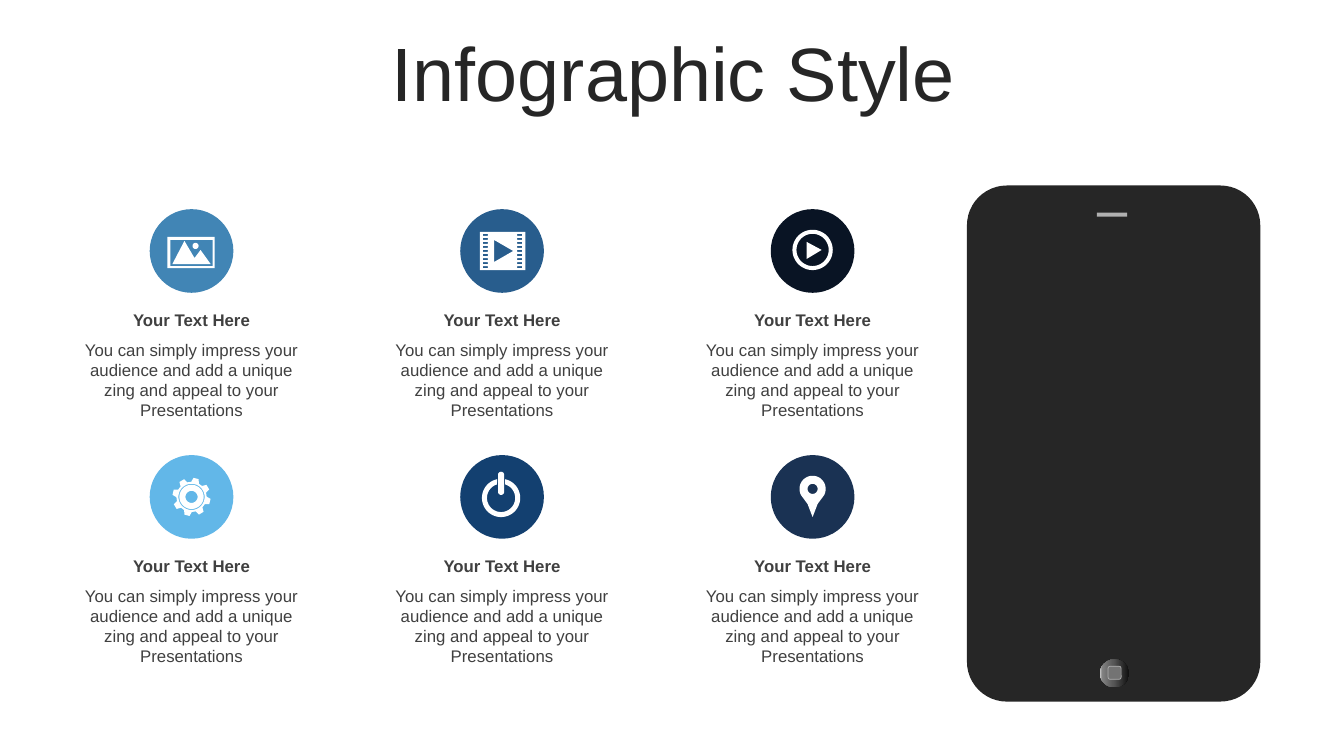
from dataclasses import dataclass
from math import cos, radians, sin

from lxml.etree import SubElement
from pptx import Presentation
from pptx.dml.color import RGBColor
from pptx.enum.shapes import MSO_SHAPE
from pptx.enum.text import MSO_ANCHOR, MSO_AUTO_SIZE, PP_ALIGN
from pptx.oxml.ns import qn
from pptx.shapes.autoshape import Shape
from pptx.slide import Slide
from pptx.text.text import TextFrame
from pptx.util import Inches, Pt

Point = tuple[float, float]
Contour = list[Point]

FONT = "Arial"
DARK, TEXT, WHITE, SILVER = "262626", "404040", "FFFFFF", "B0B0B0"
HEADING = "Your Text Here"
BODY = ("You can simply impress your audience and add a unique zing "
        "and appeal to your Presentations")

# Grid of features: centre of the first badge and the steps between badges
FIRST_X, FIRST_Y = 1.9, 2.49
COLUMN_STEP, ROW_STEP = 3.08, 2.44
BADGE = 0.83
TEXT_WIDTH = 2.4


@dataclass
class Feature:
    column: int
    row: int
    color: str
    icon: list[Contour]


@dataclass
class PhonePart:
    preset: MSO_SHAPE
    left: float
    top: float
    width: float
    height: float
    fill: str


def rgb(value: str) -> RGBColor:
    return RGBColor.from_string(value)


def arc(x: float, y: float, radius: float, start: float = 0,
        end: float = 360, steps: int = 48) -> Contour:
    """Points along an arc; angles in degrees, clockwise from the right."""
    angles = [radians(start + (end - start) * i / steps) for i in range(steps + 1)]
    return [(x + radius * cos(a), y + radius * sin(a)) for a in angles]


def box(left: float, top: float, width: float, height: float) -> Contour:
    right, bottom = left + width, top + height
    return [(left, top), (right, top), (right, bottom), (left, bottom)]


# Icons are outlines in inches around the badge centre; inner outlines cut holes.
def landscape_icon() -> list[Contour]:
    mountains = [(-0.07, -0.1), (0.03, 0.07), (0.09, -0.01), (0.19, 0.13), (-0.19, 0.13)]
    return [box(-0.24, -0.14, 0.47, 0.31), box(-0.21, -0.11, 0.42, 0.26),
            mountains, arc(0.04, -0.05, 0.03)]


def film_icon() -> list[Contour]:
    holes = [box(x, -0.17 + 0.04 * i, 0.05, 0.02)
             for x in (-0.19, 0.15) for i in range(9)]
    return [box(-0.22, -0.19, 0.45, 0.38), [(-0.08, -0.11), (-0.08, 0.11), (0.11, 0)], *holes]


def play_icon() -> list[Contour]:
    return [arc(0, -0.01, 0.2), arc(0, -0.01, 0.16),
            [(-0.06, -0.09), (0.09, -0.01), (-0.06, 0.08)]]


def gear_icon() -> list[Contour]:
    teeth = 8
    profile = [(-15, 0.15), (-8, 0.19), (8, 0.19), (15, 0.15)]
    rim: Contour = []
    for tooth in range(teeth):
        middle = -76 + tooth * 360 / teeth
        for offset, radius in profile:
            angle = radians(middle + offset)
            rim.append((radius * cos(angle), radius * sin(angle)))
    return [rim, *(arc(0, 0, radius) for radius in (0.13, 0.12, 0.06))]


def power_icon() -> list[Contour]:
    x, y = -0.01, 0.01
    ring = arc(x, y, 0.19, -78, 258) + arc(x, y, 0.14, 253, -73)
    bar = arc(x, -0.22, 0.03, 180, 360, 12) + arc(x, -0.05, 0.03, 0, 180, 12)
    return [ring, bar]


def pin_icon() -> list[Contour]:
    outline = arc(0, -0.08, 0.13, 150, 390) + [(0.05, 0.07), (0, 0.2), (-0.05, 0.07)]
    return [outline, arc(0, -0.08, 0.05)]


FEATURES = [
    Feature(0, 0, "4185B5", landscape_icon()),
    Feature(1, 0, "285D8D", film_icon()),
    Feature(2, 0, "091424", play_icon()),
    Feature(0, 1, "62B7E8", gear_icon()),
    Feature(1, 1, "134070", power_icon()),
    Feature(2, 1, "1A3253", pin_icon()),
]

CASE = PhonePart(MSO_SHAPE.ROUNDED_RECTANGLE, 9.59, 1.84, 2.91, 5.12, DARK)
SPEAKER = PhonePart(MSO_SHAPE.RECTANGLE, 10.88, 2.11, 0.3, 0.04, SILVER)
HOME_BUTTON = PhonePart(MSO_SHAPE.OVAL, 10.91, 6.54, 0.29, 0.28, DARK)
HOME_MARK = PhonePart(MSO_SHAPE.ROUNDED_RECTANGLE, 10.99, 6.61, 0.13, 0.13, "737373")
BUTTON_STOPS = [(0, "0F0F0F"), (56, "595959"), (91, "808080"), (100, "BFBFBF")]


def paint(shape: Shape, color: str) -> None:
    shape.shadow.inherit = False
    shape.fill.solid()
    shape.fill.fore_color.rgb = rgb(color)
    shape.line.fill.background()


def paint_gradient(shape: Shape, stops: list[tuple[int, str]], angle: float) -> None:
    shape.fill.gradient()
    shape.fill.gradient_angle = angle
    stop_list = shape._element.spPr.find(qn("a:gradFill")).find(qn("a:gsLst"))
    for old_stop in list(stop_list):
        stop_list.remove(old_stop)
    for percent, color in stops:
        stop = SubElement(stop_list, qn("a:gs"), pos=str(percent * 1000))
        SubElement(stop, qn("a:srgbClr"), val=color)


def add_phone_part(slide: Slide, part: PhonePart) -> Shape:
    shape = slide.shapes.add_shape(part.preset, Inches(part.left), Inches(part.top),
                                   Inches(part.width), Inches(part.height))
    paint(shape, part.fill)
    return shape


def add_phone(slide: Slide) -> None:
    add_phone_part(slide, CASE).adjustments[0] = 0.136
    add_phone_part(slide, SPEAKER)
    paint_gradient(add_phone_part(slide, HOME_BUTTON), BUTTON_STOPS, 180)
    mark = add_phone_part(slide, HOME_MARK)
    mark.line.color.rgb = rgb(SILVER)
    mark.line.width = Pt(0.5)


def write(frame: TextFrame, text: str, size: float, color: str, bold: bool = False) -> None:
    frame.word_wrap = True
    paragraph = frame.paragraphs[0]
    paragraph.alignment = PP_ALIGN.CENTER
    run = paragraph.add_run()
    run.text = text
    run.font.name = FONT
    run.font.size = Pt(size)
    run.font.bold = bold
    run.font.color.rgb = rgb(color)


def add_title(slide: Slide, text: str) -> None:
    title = slide.shapes.title
    title.left, title.top = Inches(0.35), Inches(0.37)
    title.width, title.height = Inches(12.66), Inches(0.79)
    frame = title.text_frame
    frame.auto_size = MSO_AUTO_SIZE.NONE
    frame.vertical_anchor = MSO_ANCHOR.MIDDLE
    write(frame, text, 54, DARK)
    frame.paragraphs[0].line_spacing = 0.9
    frame.paragraphs[0].space_before = Pt(10)


def add_icon(slide: Slide, x: float, y: float, contours: list[Contour]) -> None:
    outlines = [[(Inches(x + dx), Inches(y + dy)) for dx, dy in contour]
                for contour in contours]
    builder = slide.shapes.build_freeform(*outlines[0][0])
    for outline in outlines:
        builder.move_to(*outline[0])
        builder.add_line_segments(outline[1:], close=True)
    paint(builder.convert_to_shape(), WHITE)


def add_feature(slide: Slide, feature: Feature) -> None:
    x = FIRST_X + feature.column * COLUMN_STEP
    y = FIRST_Y + feature.row * ROW_STEP
    badge = slide.shapes.add_shape(MSO_SHAPE.OVAL, Inches(x - BADGE / 2), Inches(y - BADGE / 2),
                                   Inches(BADGE), Inches(BADGE))
    paint(badge, feature.color)
    add_icon(slide, x, y, feature.icon)
    for text, offset, height, bold in ((HEADING, 0.53, 0.3, True), (BODY, 0.83, 0.91, False)):
        caption = slide.shapes.add_textbox(Inches(x - TEXT_WIDTH / 2), Inches(y + offset),
                                           Inches(TEXT_WIDTH), Inches(height))
        write(caption.text_frame, text, 12, TEXT, bold)


def main() -> None:
    deck = Presentation()
    deck.slide_width, deck.slide_height = Inches(13.33), Inches(7.5)
    slide = deck.slides.add_slide(deck.slide_layouts[5])
    add_phone(slide)
    add_title(slide, "Infographic Style")
    for feature in FEATURES:
        add_feature(slide, feature)
    deck.save("out.pptx")


if __name__ == "__main__":
    main()
